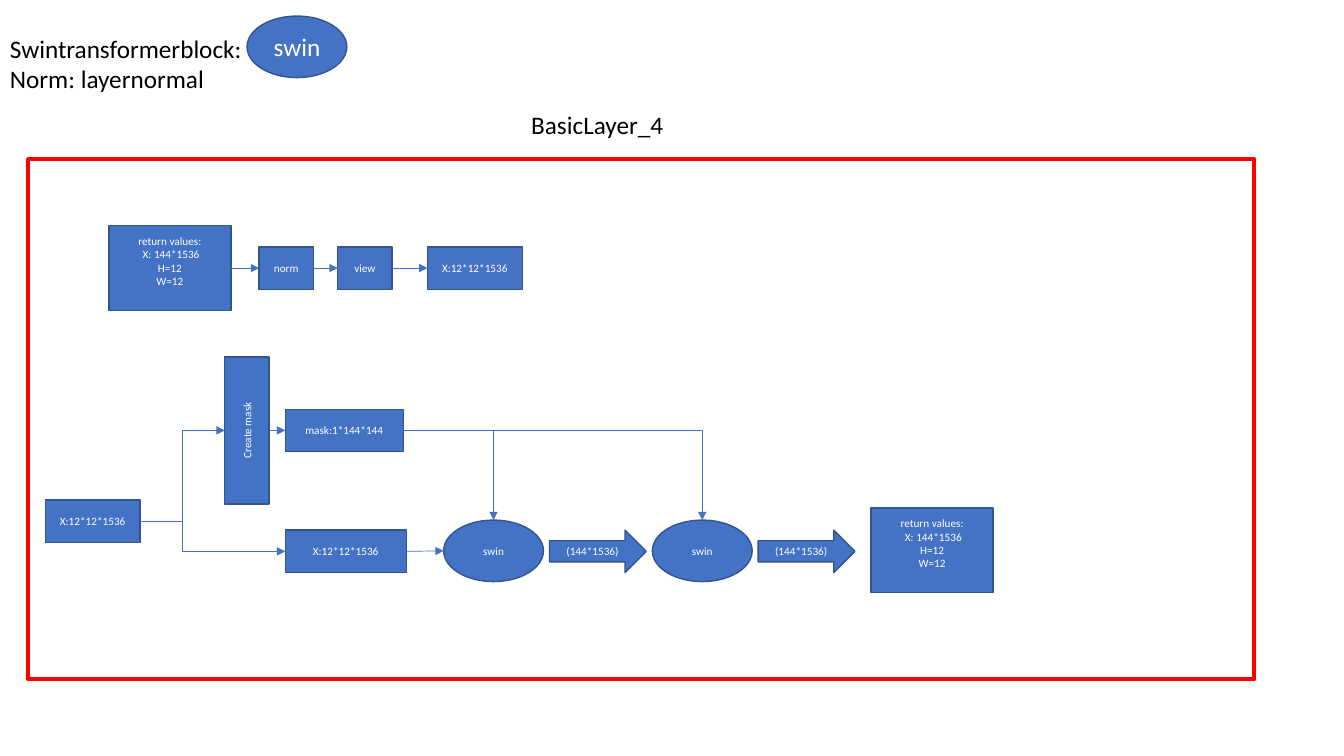
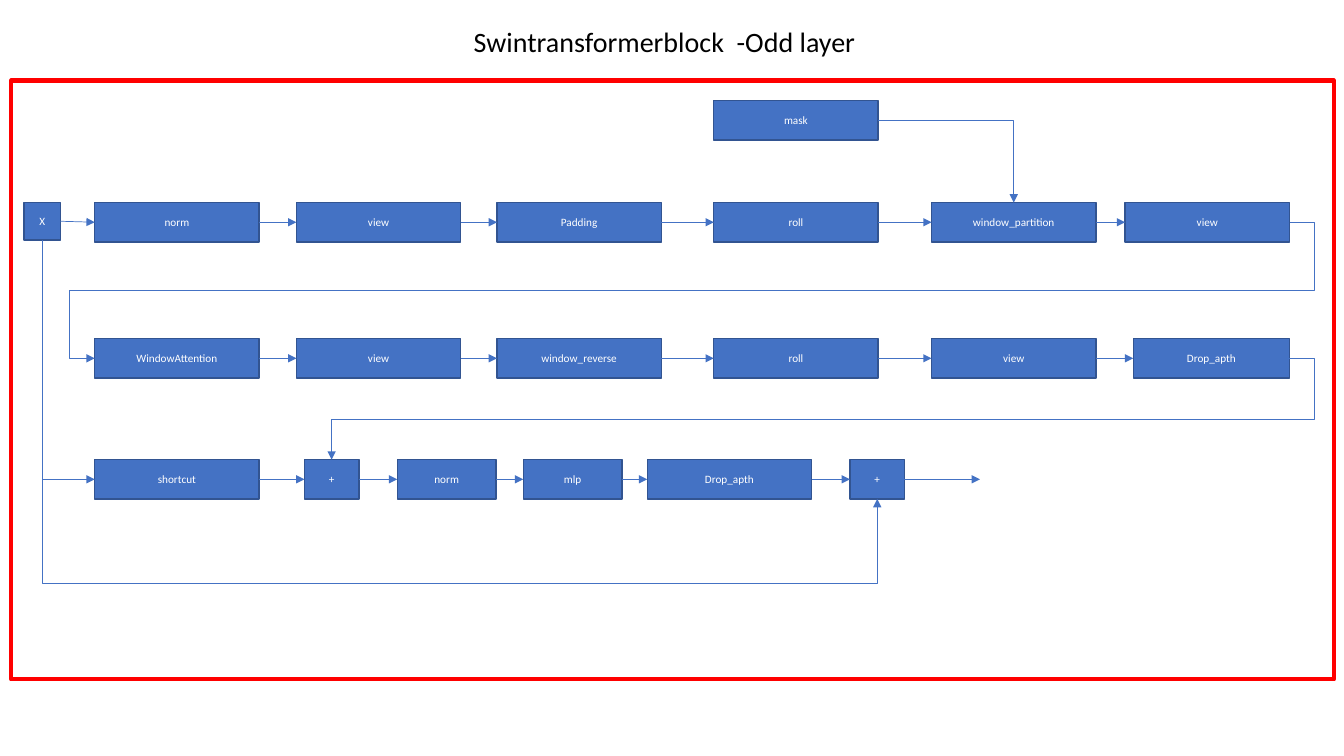
from itertools import pairwise

from lxml import etree
from pptx import Presentation
from pptx.dml.color import RGBColor
from pptx.enum.shapes import MSO_CONNECTOR, MSO_SHAPE
from pptx.enum.text import MSO_ANCHOR, PP_ALIGN
from pptx.oxml.ns import qn
from pptx.util import Inches, Pt

RECT, OVAL, ARROW = MSO_SHAPE.RECTANGLE, MSO_SHAPE.OVAL, MSO_SHAPE.RIGHT_ARROW
STRAIGHT, ELBOW = MSO_CONNECTOR.STRAIGHT, MSO_CONNECTOR.ELBOW
CENTER, MIDDLE = PP_ALIGN.CENTER, MSO_ANCHOR.MIDDLE
TOP, LEFT, BOTTOM, RIGHT = range(4)

COLORS = {"fill": "4472C4", "edge": "325491", "frame": "FF0000",
          "light": "FFFFFF", "dark": "000000"}
FONT = "Calibri"

# Slide 1: name -> (text, left, top, width, height, preset, text size)
RETURN_TEXT = "return values:\n X: 144*1536\nH=12\nW=12"
GRID_TEXT = "X:12*12*1536"
LAYER_NODES = {
    "legend": ("swin", 2.45, 0.16, 0.99, 0.61, OVAL, 18),
    "previous": (RETURN_TEXT, 1.08, 2.24, 1.21, 0.84, RECT, 8),
    "norm": ("norm", 2.57, 2.45, 0.54, 0.42, RECT, 8),
    "view": ("view", 3.35, 2.45, 0.54, 0.42, RECT, 8),
    "reshaped": (GRID_TEXT, 4.24, 2.45, 0.94, 0.42, RECT, 8),
    "input": (GRID_TEXT, 0.45, 4.96, 0.94, 0.42, RECT, 8),
    "create": ("Create mask", 2.23, 3.54, 0.44, 1.46, RECT, 8),
    "mask": ("mask:1*144*144", 2.83, 4.06, 1.17, 0.42, RECT, 8),
    "grid": (GRID_TEXT, 2.83, 5.26, 1.2, 0.42, RECT, 8),
    "swin 1": ("swin", 4.4, 5.16, 0.99, 0.61, OVAL, 8),
    "output 1": ("(144*1536)", 5.45, 5.26, 0.96, 0.42, ARROW, 8),
    "swin 2": ("swin", 6.47, 5.16, 0.99, 0.61, OVAL, 8),
    "output 2": ("(144*1536)", 7.52, 5.26, 0.96, 0.42, ARROW, 8),
    "result": (RETURN_TEXT, 8.64, 5.04, 1.21, 0.84, RECT, 8),
}
LAYER_CHAINS = [("previous", "norm", "view", "reshaped"),
                ("create", "mask"), ("grid", "swin 1")]

# Slide 2: each row is (top, steps), each step is (text, left, width)
STEP_HEIGHT, STEP_WIDTH = 0.39, 1.63
BLOCK_ROWS = [
    (2.01, [("norm", 0.94, STEP_WIDTH), ("view", 2.94, STEP_WIDTH),
            ("Padding", 4.93, STEP_WIDTH), ("roll", 7.08, STEP_WIDTH),
            ("window_partition", 9.24, STEP_WIDTH), ("view", 11.16, STEP_WIDTH)]),
    (3.36, [("WindowAttention", 0.94, STEP_WIDTH), ("view", 2.94, STEP_WIDTH),
            ("window_reverse", 4.93, STEP_WIDTH), ("roll", 7.08, STEP_WIDTH),
            ("view", 9.24, STEP_WIDTH), ("Drop_apth", 11.24, 1.55)]),
    (4.56, [("shortcut", 0.94, STEP_WIDTH), ("+", 3.02, 0.54),
            ("norm", 3.94, 0.98), ("mlp", 5.19, 0.98),
            ("Drop_apth", 6.42, STEP_WIDTH), ("+", 8.43, 0.54)]),
]


def rgb(name):
    return RGBColor.from_string(COLORS[name])


def write(frame, text, size, color, align=None):
    for index, line in enumerate(text.split("\n")):
        para = frame.paragraphs[0] if index == 0 else frame.add_paragraph()
        span = para.add_run()
        span.text = line
        for name, value in {"name": FONT, "size": Pt(size)}.items():
            setattr(span.font, name, value)
        span.font.color.rgb = rgb(color)
        para.alignment = align


def add_label(page, text, left, top, width, height, size, wrap=False):
    box = page.shapes.add_textbox(*map(Inches, (left, top, width, height)))
    box.text_frame.word_wrap = wrap
    write(box.text_frame, text, size, "dark")


def add_node(page, text, left, top, width, height, preset=RECT, size=8):
    node = page.shapes.add_shape(preset, *map(Inches, (left, top, width, height)))
    node.shadow.inherit = False
    node.fill.solid()
    node.fill.fore_color.rgb = rgb("fill")
    node.line.color.rgb = rgb("edge")
    node.line.width = Pt(1)
    node.text_frame.vertical_anchor = MIDDLE
    node.text_frame.word_wrap = True
    write(node.text_frame, text, size, "light", CENTER)
    return node


def add_frame(page, left, top, width, height):
    frame = page.shapes.add_shape(RECT, *map(Inches, (left, top, width, height)))
    frame.shadow.inherit = False
    frame.fill.background()
    frame.line.color.rgb = rgb("frame")
    frame.line.width = Pt(3)


def side_point(node, side):
    x = node.left + {LEFT: 0, RIGHT: node.width}.get(side, node.width // 2)
    y = node.top + {TOP: 0, BOTTOM: node.height}.get(side, node.height // 2)
    return x, y


def add_arrow(page, kind, start, end):
    arrow = page.shapes.add_connector(kind, *start, *end)
    arrow.line.color.rgb = rgb("fill")
    arrow.line.width = Pt(0.5)
    properties = arrow._element.spPr
    etree.SubElement(properties.find(qn("a:ln")), qn("a:tailEnd"), type="triangle")
    etree.SubElement(properties, qn("a:effectLst"))
    return arrow


def link(page, source, target):
    """Join the right side of source to the left side of target."""
    arrow = add_arrow(page, STRAIGHT, side_point(source, RIGHT), side_point(target, LEFT))
    arrow.begin_connect(source, RIGHT)
    if target.auto_shape_type == RECT:
        arrow.end_connect(target, LEFT)


def add_elbow(page, source, source_side, target, target_side, bends=()):
    """Draw a bent arrow; bends are its turning coordinates, on alternating axes."""
    start, end = side_point(source, source_side), side_point(target, target_side)
    arrow = add_arrow(page, ELBOW, start, end)
    geometry = arrow._element.spPr.find(qn("a:prstGeom"))
    geometry.set("prst", f"bentConnector{len(bends) + 2}")
    guides = geometry.find(qn("a:avLst"))
    downward = source_side == BOTTOM
    for index, bend in enumerate(bends):
        axis = (index + downward) % 2
        share = (Inches(bend) - start[axis]) / (end[axis] - start[axis])
        etree.SubElement(guides, qn("a:gd"), name=f"adj{index + 1}" if len(bends) > 1 else "adj1",
                         fmla=f"val {round(share * 100000)}")
    if downward:
        width, height = arrow.width, arrow.height
        arrow.left += (width - height) // 2
        arrow.top += (height - width) // 2
        arrow.width, arrow.height = height, width
        transform = arrow._element.spPr.find(qn("a:xfrm"))
        transform.set("rot", str(270 * 60000))
        transform.set("flipH", "1")


def build_layer(page):
    add_label(page, "Swintransformerblock:\nNorm: layernormal", 0, 0.28, 2.52, 0.71, 18)
    add_label(page, "BasicLayer_4", 5.17, 1.04, 1.52, 0.4, 18)
    add_frame(page, 0.28, 1.58, 12.16, 5.16)
    nodes = {name: add_node(page, *values) for name, values in LAYER_NODES.items()}
    nodes["create"].text_frame._txBody.bodyPr.set("vert", "vert270")
    for name in ("previous", "result"):
        nodes[name].text_frame.margin_bottom = Inches(0.19)

    for chain in LAYER_CHAINS:
        for source, target in pairwise(chain):
            link(page, nodes[source], nodes[target])
    for target in ("swin 1", "swin 2"):
        add_elbow(page, nodes["mask"], RIGHT, nodes[target], TOP)
    for target in ("create", "grid"):
        add_elbow(page, nodes["input"], RIGHT, nodes[target], LEFT, [1.81])


def build_block(page):
    add_label(page, "Swintransformerblock  -Odd layer", 4.6, 0.19, 4.64, 0.44, 20, wrap=True)
    add_frame(page, 0.11, 0.8, 13.12, 5.94)
    entry = add_node(page, "X", 0.24, 2.01, 0.36, 0.37)
    mask = add_node(page, "mask", 7.08, 1, STEP_WIDTH, STEP_HEIGHT)
    rows = [[add_node(page, text, left, top, width, STEP_HEIGHT)
             for text, left, width in steps] for top, steps in BLOCK_ROWS]
    partition, attention, sums = rows

    for chain in ([entry, *partition], attention, sums):
        for source, target in pairwise(chain):
            link(page, source, target)
    x, y = side_point(sums[-1], RIGHT)
    add_arrow(page, STRAIGHT, (x, y), (Inches(9.72), y)).begin_connect(sums[-1], RIGHT)

    add_elbow(page, mask, RIGHT, partition[4], TOP)
    add_elbow(page, partition[-1], RIGHT, attention[0], LEFT, [13.04, 2.88, 0.69])
    add_elbow(page, attention[-1], RIGHT, sums[1], TOP, [13.04, 4.16])
    add_elbow(page, entry, BOTTOM, sums[0], LEFT)
    add_elbow(page, entry, BOTTOM, sums[-1], BOTTOM, [5.79])


def main():
    deck = Presentation()
    deck.slide_width, deck.slide_height = Inches(13.33), Inches(7.5)
    for build in (build_layer, build_block):
        build(deck.slides.add_slide(deck.slide_layouts[6]))
    deck.save("out.pptx")


if __name__ == "__main__":
    main()
